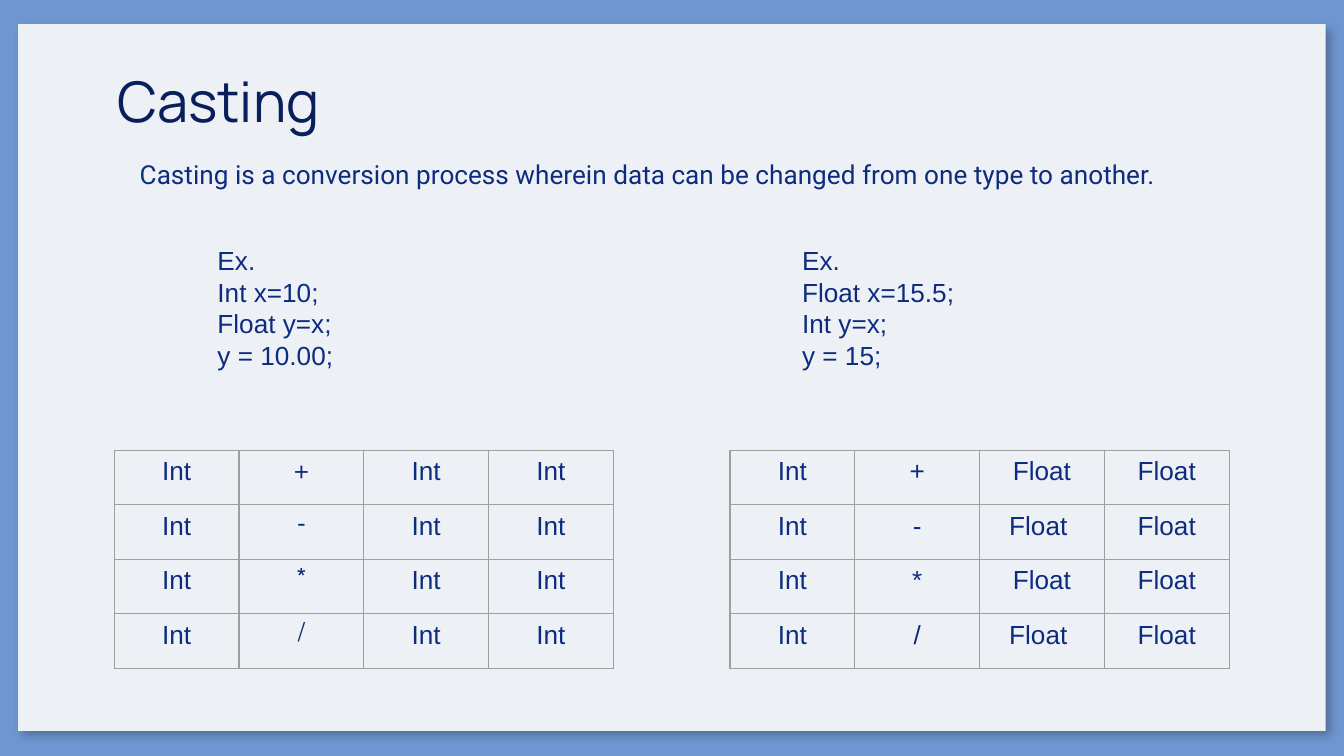
from lxml import etree
from pptx import Presentation
from pptx.dml.color import RGBColor
from pptx.enum.shapes import MSO_SHAPE
from pptx.enum.text import MSO_AUTO_SIZE, PP_ALIGN
from pptx.oxml import parse_xml
from pptx.util import Inches, Pt

RECT = MSO_SHAPE.RECTANGLE
CENTER, LEFT = PP_ALIGN.CENTER, PP_ALIGN.LEFT
FIT, FIXED = MSO_AUTO_SIZE.SHAPE_TO_FIT_TEXT, MSO_AUTO_SIZE.NONE
NS = "http://schemas.openxmlformats.org/drawingml/2006/main"
INK, TITLE_INK, PANEL, BACK, GRID = "0D2C80", "091F5B", "EDF0F5", "6F96D1", "9E9E9E"
OPERATORS = ["+", "-", "*", "/"]
WIDTH = Inches(10)
HEIGHT = WIDTH * 9 // 16


def rgb(value):
    """Return the colour for a hex string."""
    return RGBColor.from_string(value)


def place(box):
    """Turn left, top, width and height in percent of the slide into lengths."""
    return [round(v * side / 100) for v, side in zip(box, (WIDTH, HEIGHT) * 2)]


def style(p, align, size=14, font="Arial", color=INK):
    """Format a paragraph and its runs."""
    p.alignment = align
    for r in p.runs:
        r.font.size, r.font.name = Pt(size), font
        r.font.color.rgb = rgb(color)


def add_panel(slide, box):
    """Add the pale panel with its soft shadow."""
    sp = slide.shapes.add_shape(RECT, *place(box))
    sp.fill.solid()
    sp.fill.fore_color.rgb = rgb(PANEL)
    sp.line.fill.background()
    sp.shadow.inherit = False
    effects = sp._element.spPr.find(f"{{{NS}}}effectLst")
    effects.append(parse_xml(
        f'<a:outerShdw xmlns:a="{NS}" blurRad="{Pt(4.5)}" dist="{Pt(3.75)}" '
        'dir="3000000" algn="bl" rotWithShape="0"><a:srgbClr val="000000">'
        '<a:alpha val="25000"/></a:srgbClr></a:outerShdw>'))


def add_text(slide, box, lines, align=LEFT, margin=0.05, fit=FIT, **look):
    """Add a text box with one paragraph for each line."""
    tf = slide.shapes.add_textbox(*place(box)).text_frame
    tf.word_wrap = True
    tf.auto_size = fit
    tf.margin_top = tf.margin_bottom = Inches(margin)
    tf.text = "\n".join(lines)
    for p in tf.paragraphs:
        style(p, align, **look)


def add_borders(cell):
    """Draw a thin grey line on each side of a cell."""
    tcPr = cell._tc.get_or_add_tcPr()
    for i, side in enumerate(("lnL", "lnR", "lnT", "lnB")):
        ln = etree.Element(f"{{{NS}}}{side}", w=str(Pt(0.75)))
        fill = etree.SubElement(ln, f"{{{NS}}}solidFill")
        etree.SubElement(fill, f"{{{NS}}}srgbClr", val=GRID)
        tcPr.insert(i, ln)


def add_type_table(slide, box, rows, rtl_column=None):
    """Add a table of operand types, operators and result types."""
    frame = slide.shapes.add_table(len(rows), len(rows[0]), *place(box))
    table = frame.table
    table.first_row = table.horz_banding = False
    for i, row in enumerate(rows):
        for j, text in enumerate(row):
            cell = table.cell(i, j)
            cell.fill.background()
            add_borders(cell)
            p = cell.text_frame.paragraphs[0]
            p.text = text
            style(p, CENTER)
            if j == rtl_column:
                p._p.get_or_add_pPr().set("rtl", "1")


def build_slide(prs):
    """Place the panel, texts, examples and tables on a blank slide."""
    slide = prs.slides.add_slide(prs.slide_layouts[6])
    slide.background.fill.solid()
    slide.background.fill.fore_color.rgb = rgb(BACK)
    add_panel(slide, (1.35, 3.2, 97.3, 93.5))
    add_text(slide, (4, 7, 24.5, 11.2), ["Casting"], CENTER, 0.1, FIXED,
             size=30, font="Manrope", color=TITLE_INK)
    add_text(slide, (8.5, 20.1, 79.4, 6),
             ["Casting is a conversion process wherein data can be changed "
              "from one type to another."], CENTER, font="Roboto")
    add_text(slide, (15.2, 31.5, 16.7, 18.5),
             ["Ex.", "Int x=10;", "Float y=x;", "y = 10.00;"])
    add_text(slide, (58.7, 31.5, 21.4, 18.5),
             ["Ex.", "Float x=15.5;", "Int y=x;", "y = 15;"])
    add_type_table(slide, (8.5, 59.56, 37.14, 28.84),
                   [["Int", op, "Int", "Int"] for op in OPERATORS], rtl_column=1)
    add_type_table(slide, (54.32, 59.56, 37.14, 28.84),
                   [["Int", op, "Float " if i % 2 else "Float", "Float"]
                    for i, op in enumerate(OPERATORS)])


def main():
    """Build and save the presentation."""
    prs = Presentation()
    prs.slide_width, prs.slide_height = WIDTH, HEIGHT
    build_slide(prs)
    prs.save("out.pptx")


if __name__ == "__main__":
    main()
